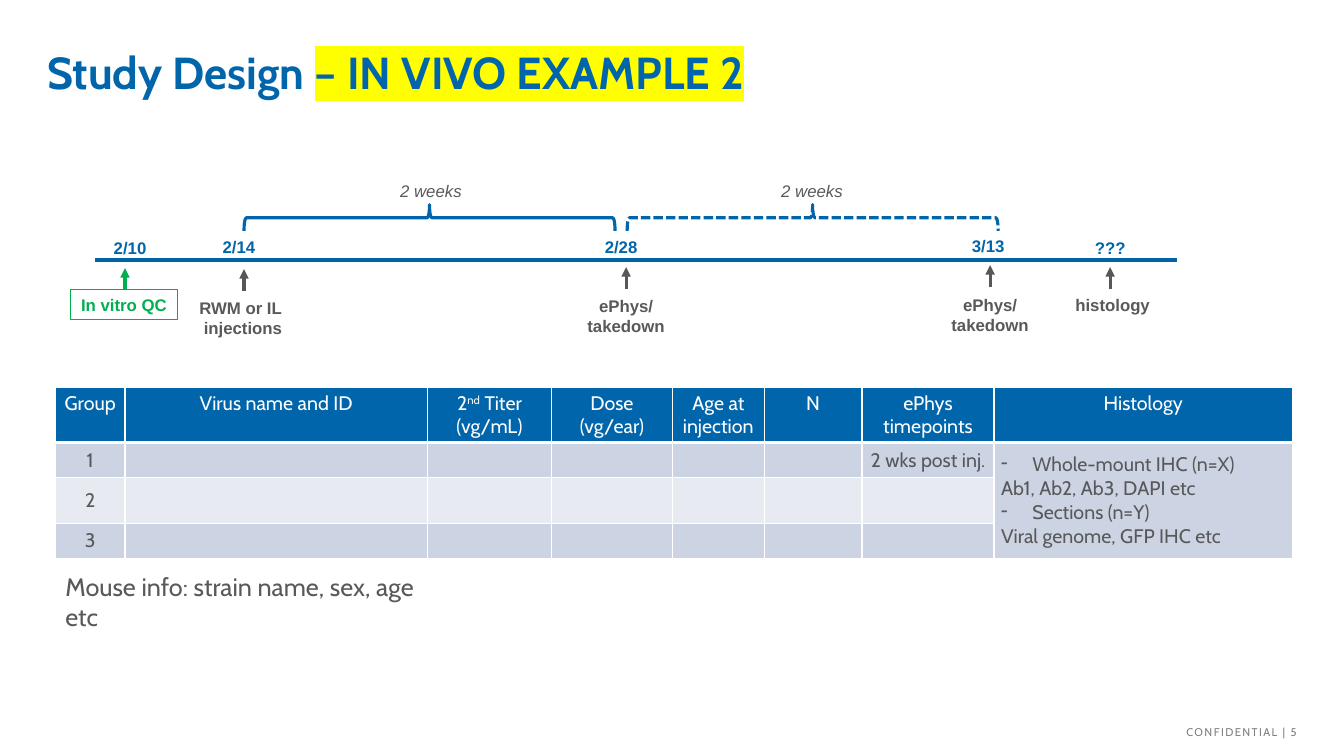
from dataclasses import dataclass

from lxml.etree import SubElement
from pptx import Presentation
from pptx.dml.color import RGBColor
from pptx.enum.dml import MSO_LINE
from pptx.enum.shapes import MSO_CONNECTOR, MSO_SHAPE
from pptx.enum.text import MSO_ANCHOR, PP_ALIGN
from pptx.oxml.ns import qn
from pptx.util import Inches, Pt


@dataclass(frozen=True)
class Theme:
    """Colours, fonts and type sizes of the slide."""
    blue: str = "0065AA"
    axis: str = "0063A6"
    text: str = "58595B"
    arrow: str = "565759"
    green: str = "00B050"
    foot: str = "808080"
    mark: str = "FFFF00"
    white: str = "FFFFFF"
    bands: tuple = ("CCD3E2", "E7EAF1")
    head: str = "Cabin"
    body: str = "Arial"
    title: int = 32
    note: int = 18
    cell: int = 14
    label: int = 12
    small: int = 8


@dataclass(frozen=True)
class Span:
    """A stretch of text with its own marking."""
    text: str
    mark: str = ""
    base: int = 0
    space: int = 0


@dataclass(frozen=True)
class Event:
    """A dated point on the timeline; boxes are left, top, width."""
    x: float
    tip: float
    date: str
    spot: tuple
    lines: tuple
    box: tuple
    framed: bool = False


@dataclass(frozen=True)
class Phase:
    """A braced stretch of time above the axis."""
    left: float
    label: float
    dash: bool = False


T = Theme()
EVENTS = (
    Event(1.24, 2.66, "2/10", (1.03, 2.31, 0.53), ("In vitro QC",), (0.7, 2.87, 1.06), True),
    Event(2.42, 2.67, "2/14", (2.11, 2.3, 0.53), ("RWM or IL\u00a0", "injections"), (1.87, 2.9, 1.08)),
    Event(6.21, 2.65, "2/28", (5.9, 2.3, 0.53), ("ePhys/", "takedown"), (5.72, 2.88, 0.98)),
    Event(9.82, 2.63, "3/13", (9.54, 2.29, 0.53), ("ePhys/", "takedown"), (9.33, 2.87, 0.98)),
    Event(11.01, 2.65, "???", (10.76, 2.31, 0.51), ("histology",), (10.54, 2.87, 0.99)),
)
PHASES = (Phase(4.13, 3.87), Phase(7.93, 7.65, True))
COLS = (0.69, 3, 1.23, 1.2, 0.91, 0.97, 1.31, 2.96)
ROWS = (0.55, 0.35, 0.45, 0.35)
HEADS = ("Group", "Virus name and ID", (Span("2"), Span("nd", base=30), Span(" Titer (vg/mL)")),
         "Dose (vg/ear)", "Age at injection", "N", "ePhys timepoints", "Histology")
STAINS = ("Whole-mount IHC (n=X)", "Ab1, Ab2, Ab3, DAPI etc",
          "Sections (n=Y)", "Viral genome, GFP IHC etc")


def rgb(code: str) -> RGBColor:
    """Turn a hex code into a colour."""
    return RGBColor.from_string(code)


def write(frame, *lines, size=T.label, color=T.text, font=T.body,
          bold=False, italic=False, align=PP_ALIGN.LEFT) -> None:
    """Fill a text frame, one paragraph for each line."""
    for i, line in enumerate(lines):
        par = frame.add_paragraph() if i else frame.paragraphs[0]
        par.alignment = align
        if not line:
            SubElement(par._p, qn("a:endParaRPr"), sz=str(size * 100))
            continue
        for span in (Span(line),) if isinstance(line, str) else line:
            run = par.add_run()
            run.text = span.text
            face = run.font
            face.size, face.name, face.bold, face.italic = Pt(size), font, bold, italic
            face.color.rgb = rgb(color)
            props = run._r.get_or_add_rPr()
            if span.base:
                props.set("baseline", str(span.base * 1000))
            if span.space:
                props.set("spc", str(span.space * 100))
            if span.mark:
                light = SubElement(props, qn("a:highlight"))
                SubElement(light, qn("a:srgbClr"), val=span.mark)
                props.find(qn("a:solidFill")).addnext(light)


def label(slide, box, *lines, wrap=False, anchor=MSO_ANCHOR.TOP, **form):
    """Add a text box at left, top, width, height."""
    shape = slide.shapes.add_textbox(*map(Inches, box))
    shape.text_frame.word_wrap = wrap
    shape.text_frame.vertical_anchor = anchor
    write(shape.text_frame, *lines, **form)
    return shape


def stroke(slide, start, end, color: str, width: float, arrow=False) -> None:
    """Draw a straight line, with an arrowhead at its end if asked."""
    line = slide.shapes.add_connector(MSO_CONNECTOR.STRAIGHT, *map(Inches, (*start, *end)))
    line.line.color.rgb = rgb(color)
    line.line.width = Pt(width)
    if arrow:
        SubElement(line.line._get_or_add_ln(), qn("a:tailEnd"), type="triangle")
    SubElement(line._element.spPr, qn("a:effectLst"))


def draw_event(slide, event: Event) -> None:
    """Draw the date, arrow and label of an event."""
    tint = T.green if event.framed else T.text
    label(slide, (*event.spot, 0.3), event.date, color=T.blue, bold=True)
    stroke(slide, (event.x, event.tip + 0.22), (event.x, event.tip),
           T.green if event.framed else T.arrow, 2.25, True)
    tall = 0.1 + 0.2 * len(event.lines)
    box = label(slide, (*event.box, tall), *event.lines, color=tint, bold=True,
                align=PP_ALIGN.CENTER)
    if event.framed:
        box.line.color.rgb = rgb(tint)
        box.line.width = Pt(0.75)


def draw_phase(slide, phase: Phase) -> None:
    """Draw a brace and its length of time."""
    brace = slide.shapes.add_shape(
        MSO_SHAPE.RIGHT_BRACE, *map(Inches, (phase.left, 0.32, 0.26, 3.68)))
    brace.rotation = 270
    brace.shadow.inherit = False
    brace.fill.background()
    brace.line.color.rgb = rgb(T.blue)
    brace.line.width = Pt(2.25)
    if phase.dash:
        brace.line.dash_style = MSO_LINE.SQUARE_DOT
    label(slide, (phase.label, 1.74, 0.82, 0.3), "2 weeks", italic=True)


def style(cell, fill: str, base: int) -> None:
    """Set the fill, margins and white borders of a cell."""
    cell.fill.solid()
    cell.fill.fore_color.rgb = rgb(fill)
    cell.margin_left = cell.margin_right = Inches(0.07)
    cell.margin_top = cell.margin_bottom = Inches(0.04)
    props = cell._tc.get_or_add_tcPr()
    for i, side in enumerate("LRTB"):
        edge = SubElement(props, qn("a:ln" + side), w=str(Pt(base if side == "B" else 1)))
        SubElement(SubElement(edge, qn("a:solidFill")), qn("a:srgbClr"), val=T.white)
        props.insert(i, edge)


def draw_table(slide) -> None:
    """Draw the table of study groups."""
    area = map(Inches, (0.55, 3.84, sum(COLS), sum(ROWS)))
    table = slide.shapes.add_table(len(ROWS), len(COLS), *area).table
    table.first_row = table.horz_banding = False
    for col, wide in zip(table.columns, COLS):
        col.width = Inches(wide)
    last = len(COLS) - 1
    table.cell(1, last).merge(table.cell(3, last))
    for r, tall in enumerate(ROWS):
        table.rows[r].height = Inches(tall)
        texts = HEADS if r == 0 else (str(r), *[""] * last)
        for c, text in enumerate(texts):
            cell = table.cell(r, c)
            merged = r and c == last
            fill = T.bands[0 if merged else (r - 1) % 2] if r else T.blue
            style(cell, fill, 1 if r else 3)
            cell.vertical_anchor = MSO_ANCHOR.MIDDLE if r else MSO_ANCHOR.TOP
            lines = STAINS if merged and r == 1 else (text,)
            if (r, c) == (1, last - 1):
                lines = ("2 wks post inj.",)
            write(cell.text_frame, *lines, size=T.cell, font=T.head,
                  color=T.text if r else T.white,
                  align=PP_ALIGN.LEFT if merged else PP_ALIGN.CENTER)
    for par in table.cell(1, last).text_frame.paragraphs[::2]:
        props = par._p.get_or_add_pPr()
        props.set("marL", str(Inches(0.31)))
        props.set("indent", str(-Inches(0.31)))
        SubElement(props, qn("a:buChar"), char="-")


def main() -> None:
    """Build and save the slide."""
    deck = Presentation()
    deck.slide_width, deck.slide_height = Inches(13.33), Inches(7.5)
    slide = deck.slides.add_slide(deck.slide_layouts[6])
    label(slide, (9.42, 7.15, 3.54, 0.39), (Span("CONFIDENTIAL | ", space=1), Span("5")),
          wrap=True, size=T.small, font=T.head, color=T.foot, align=PP_ALIGN.RIGHT)
    label(slide, (0.37, 0.3, 12.55, 0.82),
          (Span("Study Design "), Span("– IN VIVO EXAMPLE 2", mark=T.mark)), wrap=True,
          anchor=MSO_ANCHOR.MIDDLE, size=T.title, font=T.head, color=T.blue, bold=True)
    stroke(slide, (0.94, 2.58), (11.67, 2.58), T.axis, 3)
    for phase in PHASES:
        draw_phase(slide, phase)
    for event in EVENTS:
        draw_event(slide, event)
    draw_table(slide)
    label(slide, (0.55, 5.62, 3.97, 0.4), "Mouse info: strain name, sex, age etc",
          wrap=True, size=T.note, font=T.head)
    deck.save("out.pptx")


main()
